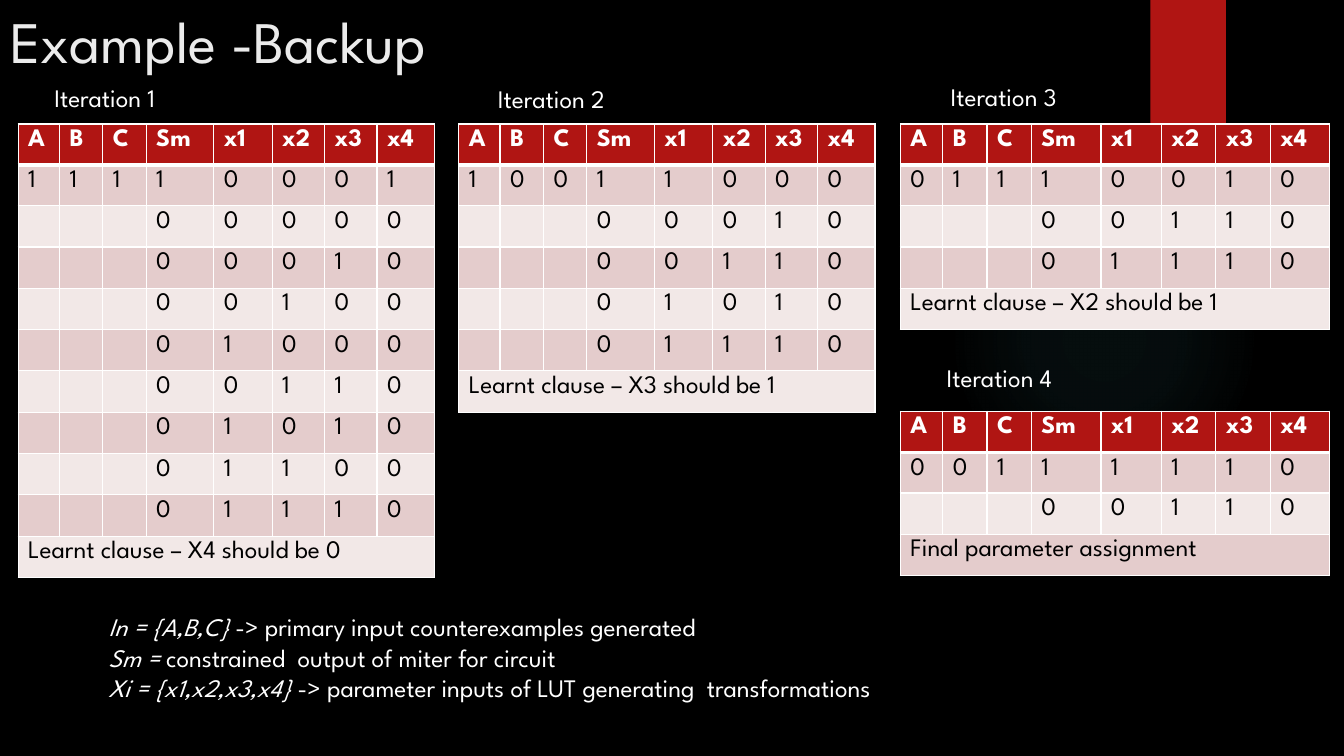
"""Build the slide of four counterexample iterations with their learnt clauses."""
import dataclasses

import lxml.etree
import pptx
import pptx.dml.color
import pptx.enum.shapes
import pptx.enum.text
import pptx.oxml
import pptx.oxml.ns
import pptx.util

Inches = pptx.util.Inches
Pt = pptx.util.Pt
RGB = pptx.dml.color.RGBColor.from_string


@dataclasses.dataclass(frozen=True)
class Theme:
    font: str = "League Spartan"
    title_size: int = 42
    text_size: int = 18
    background: str = "000000"
    title: str = "EBEBEB"
    light: str = "FFFFFF"
    dark: str = "000000"
    accent: str = "B01513"
    bands: tuple = ("E4CCCC", "F2E8E7")
    glow: str = "50B9C1"


theme = Theme()


def style(paragraph, color, size=theme.text_size, bold=False):
    paragraph.font.name = theme.font
    paragraph.font.size = Pt(size)
    paragraph.font.bold = bold
    paragraph.font.color.rgb = RGB(color)


def add_borders(cell, top, bottom):
    properties = cell._tc.get_or_add_tcPr()
    for place, (side, width) in enumerate(
        [("lnL", 1), ("lnR", 1), ("lnT", top), ("lnB", bottom)]
    ):
        border = pptx.oxml.parse_xml(
            f'<a:{side} {pptx.oxml.ns.nsdecls("a")} w="{Pt(width)}"><a:solidFill>'
            f'<a:srgbClr val="{theme.light}"/></a:solidFill></a:{side}>'
        )
        properties.insert(place, border)


deck = pptx.Presentation()
deck.slide_width = Inches(13.33)
deck.slide_height = Inches(7.5)
slide = deck.slides.add_slide(deck.slide_layouts[5])
slide.background.fill.solid()
slide.background.fill.fore_color.rgb = RGB(theme.background)

glow = slide.shapes.add_shape(
    pptx.enum.shapes.MSO_SHAPE.OVAL,
    Inches(9.41), Inches(1.83), Inches(3.08), Inches(3.08),
)
glow.shadow.inherit = False
glow.line.fill.background()
glow.fill.gradient()
gradient = glow._element.spPr.find(pptx.oxml.ns.qn("a:gradFill"))
stops = "".join(
    f'<a:gs pos="{position * 1000}"><a:srgbClr val="{theme.glow}">'
    f'<a:alpha val="{alpha * 1000}"/></a:srgbClr></a:gs>'
    for position, alpha in [(0, 7), (36, 6), (69, 0), (100, 0)]
)
radial = pptx.oxml.parse_xml(
    f'<a:gradFill {pptx.oxml.ns.nsdecls("a")}><a:gsLst>{stops}</a:gsLst>'
    '<a:path path="circle"><a:fillToRect l="50000" t="50000" r="50000" b="50000"/>'
    '</a:path></a:gradFill>'
)
gradient.getparent().replace(gradient, radial)

ribbon = slide.shapes.add_shape(
    pptx.enum.shapes.MSO_SHAPE.RECTANGLE,
    Inches(11.41), Inches(0), Inches(0.75), Inches(1.25),
)
ribbon.shadow.inherit = False
ribbon.line.fill.background()
ribbon.fill.solid()
ribbon.fill.fore_color.rgb = RGB(theme.accent)

heading = slide.shapes.title
heading.left, heading.top = Inches(0), Inches(0)
heading.width, heading.height = Inches(10.29), Inches(1.53)
heading.text_frame.text = "Example -Backup"
heading.text_frame.vertical_anchor = pptx.enum.text.MSO_ANCHOR.TOP
heading.text_frame.paragraphs[0].alignment = pptx.enum.text.PP_ALIGN.LEFT
style(heading.text_frame.paragraphs[0], theme.title, theme.title_size)

signals = ["A", "B", "C", "Sm", "x1", "x2", "x3", "x4"]
narrow = [0.41, 0.43, 0.43, 0.67, 0.58, 0.52, 0.52, 0.57]
wide = [0.42, 0.44, 0.44, 0.69, 0.6, 0.54, 0.54, 0.59]
iterations = [
    ("Iteration 1", (0.44, 0.77), (0.18, 1.23), narrow,
     ["11110001", "00000", "00010", "00100", "01000",
      "00110", "01010", "01100", "01110"],
     "Learnt clause – X4 should be 0"),
    ("Iteration 2", (4.84, 0.78), (4.55, 1.23), narrow,
     ["10011000", "00010", "00110", "01010", "01110"],
     "Learnt clause – X3 should be 1"),
    ("Iteration 3", (9.33, 0.76), (8.93, 1.23), wide,
     ["01110010", "00110", "01110"],
     "Learnt clause – X2 should be 1"),
    ("Iteration 4", (9.29, 3.55), (8.93, 4.08), wide,
     ["00111110", "00110"],
     "Final parameter assignment"),
]

for name, name_at, table_at, widths, assignments, conclusion in iterations:
    caption = slide.shapes.add_textbox(
        Inches(name_at[0]), Inches(name_at[1]), Inches(3.54), Inches(0.4)
    )
    caption.text_frame.word_wrap = True
    caption.text_frame.text = name
    style(caption.text_frame.paragraphs[0], theme.light)

    rows = [signals]
    rows += [list(bits.rjust(len(signals))) for bits in assignments]
    rows.append([conclusion] + [""] * (len(signals) - 1))
    heights = [0.41, 0.4] + [0.41] * (len(rows) - 2)
    trace = slide.shapes.add_table(
        len(rows), len(signals), Inches(table_at[0]), Inches(table_at[1]),
        Inches(sum(widths)), Inches(sum(heights)),
    ).table
    for column, width in zip(trace.columns, widths):
        column.width = Inches(width)
    for row_index, values in enumerate(rows):
        trace.rows[row_index].height = Inches(heights[row_index])
        header = row_index == 0
        fill = theme.accent if header else theme.bands[(row_index - 1) % 2]
        for column_index, value in enumerate(values):
            cell = trace.cell(row_index, column_index)
            cell.text = value.strip()
            style(cell.text_frame.paragraphs[0],
                  theme.light if header else theme.dark, bold=header)
            cell.fill.solid()
            cell.fill.fore_color.rgb = RGB(fill)
            add_borders(cell, 3 if row_index == 1 else 1, 3 if header else 1)
    last = len(rows) - 1
    trace.cell(last, 0).merge(trace.cell(last, len(signals) - 1))

legend = slide.shapes.add_textbox(
    Inches(0.98), Inches(6.02), Inches(9.67), Inches(1.01)
).text_frame
legend.word_wrap = True
definitions = [
    ("In = {A,B,C} ", "-> primary input counterexamples generated"),
    ("Sm = ", "constrained  output of miter for circuit"),
    ("Xi = {x1,x2,x3,x4}", " -> parameter inputs of LUT generating  transformations"),
]
for index, (symbol, meaning) in enumerate(definitions):
    entry = legend.paragraphs[0] if index == 0 else legend.add_paragraph()
    style(entry, theme.light)
    for text, italic in [(symbol, True), (meaning, False)]:
        run = entry.add_run()
        run.text = text
        run.font.italic = italic

deck.save("out.pptx")
